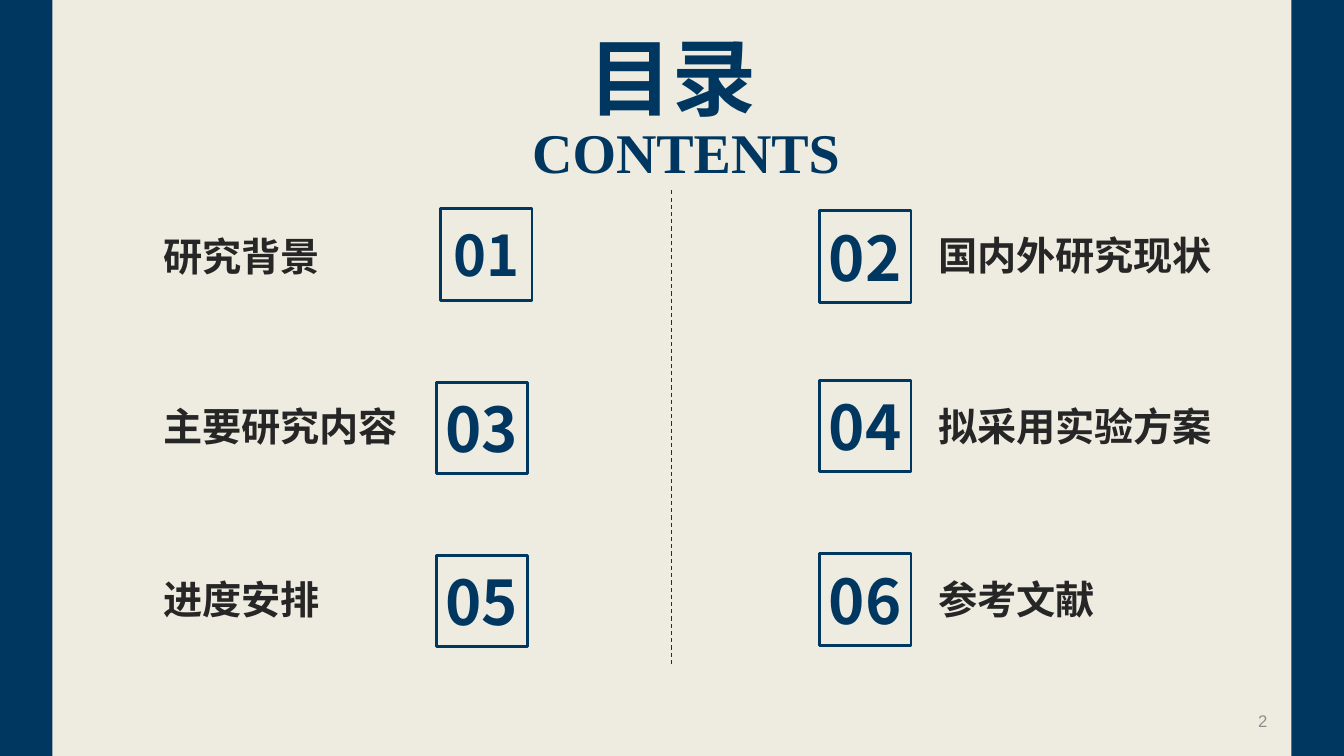
from dataclasses import dataclass

from lxml.etree import SubElement
from pptx import Presentation
from pptx.dml.color import RGBColor
from pptx.enum.dml import MSO_LINE
from pptx.enum.shapes import MSO_CONNECTOR, MSO_SHAPE
from pptx.enum.text import MSO_ANCHOR, PP_ALIGN
from pptx.oxml.ns import qn
from pptx.shapes.base import BaseShape
from pptx.slide import Slide
from pptx.util import Pt


@dataclass(frozen=True)
class Style:
    font: str
    size: float
    color: RGBColor
    bold: bool = True


@dataclass(frozen=True)
class Theme:
    paper: RGBColor
    navy: RGBColor
    divider: RGBColor
    title: Style
    subtitle: Style
    label: Style
    number: Style
    first_number: Style
    page_number: Style


@dataclass(frozen=True)
class Box:
    left: float
    top: float
    width: float
    height: float

    def lengths(self) -> tuple[Pt, Pt, Pt, Pt]:
        return Pt(self.left), Pt(self.top), Pt(self.width), Pt(self.height)


@dataclass(frozen=True)
class Entry:
    number: str
    label: str
    square_left: float
    square_top: float
    label_left: float
    label_top: float
    label_width: float
    style: Style


CHINESE = "Noto Sans CJK SC"
NAVY = RGBColor(0x00, 0x37, 0x60)
THEME = Theme(
    paper=RGBColor(0xEE, 0xEC, 0xE1),
    navy=NAVY,
    divider=RGBColor(0x00, 0x36, 0x5E),
    title=Style(CHINESE, 60, NAVY),
    subtitle=Style("Times New Roman", 40, NAVY),
    label=Style(CHINESE, 28, RGBColor(0x26, 0x26, 0x26)),
    number=Style(CHINESE, 44, NAVY),
    first_number=Style(CHINESE, 40, NAVY),
    page_number=Style("Arial", 12, RGBColor(0x8E, 0x8E, 0x8E), bold=False),
)

PAGE_WIDTH, PAGE_HEIGHT = 960, 540
RAIL_WIDTH = 37.5
SQUARE_SIZE = 65.5
LABEL_HEIGHT = 41
LEFT_LABEL, RIGHT_LABEL = 109.5, 663
RIGHT_SQUARE = 585.25

ENTRIES = [
    Entry("01", "研究背景", 314.5, 149, LEFT_LABEL, 162.5, 188.5, THEME.first_number),
    Entry("02", "国内外研究现状", RIGHT_SQUARE, 150.5, RIGHT_LABEL, 161.5, 229.5, THEME.number),
    Entry("03", "主要研究内容", 311.5, 273, LEFT_LABEL, 283.5, 188.5, THEME.number),
    Entry("04", "拟采用实验方案", RIGHT_SQUARE, 271.5, RIGHT_LABEL, 283.5, 229.5, THEME.number),
    Entry("05", "进度安排", 311.5, 396.5, LEFT_LABEL, 407.5, 188.5, THEME.number),
    Entry("06", "参考文献", RIGHT_SQUARE, 395.5, RIGHT_LABEL, 407.5, 188.5, THEME.number),
]


def write_text(shape: BaseShape, text: str, style: Style, align: PP_ALIGN,
               anchor: MSO_ANCHOR = MSO_ANCHOR.TOP) -> None:
    frame = shape.text_frame
    frame.text = text
    frame.word_wrap = True
    frame.vertical_anchor = anchor
    para = frame.paragraphs[0]
    para.alignment = align
    span = para.runs[0]
    span.font.name = style.font
    span.font.size = Pt(style.size)
    span.font.bold = style.bold
    span.font.color.rgb = style.color
    SubElement(span.font._element, qn("a:ea"), typeface=style.font)


def add_rail(page: Slide, left: float) -> None:
    rail = page.shapes.add_shape(
        MSO_SHAPE.RECTANGLE, *Box(left, 0, RAIL_WIDTH, PAGE_HEIGHT).lengths())
    rail.shadow.inherit = False
    rail.fill.solid()
    rail.fill.fore_color.rgb = THEME.navy
    rail.line.fill.background()


def add_title(page: Slide) -> None:
    title = page.shapes.title
    title.left, title.top, title.width, title.height = Box(389, 14.5, 183, 80).lengths()
    write_text(title, "目录", THEME.title, PP_ALIGN.CENTER)


def add_entry(page: Slide, entry: Entry) -> None:
    group = page.shapes.add_group_shape()
    label_box = Box(entry.label_left, entry.label_top, entry.label_width, LABEL_HEIGHT)
    label = group.shapes.add_textbox(*label_box.lengths())
    write_text(label, entry.label, THEME.label, PP_ALIGN.LEFT)

    square_box = Box(entry.square_left, entry.square_top, SQUARE_SIZE, SQUARE_SIZE)
    square = group.shapes.add_shape(MSO_SHAPE.RECTANGLE, *square_box.lengths())
    square.shadow.inherit = False
    square.fill.background()
    square.line.color.rgb = THEME.navy
    square.line.width = Pt(2)
    write_text(square, entry.number, entry.style, PP_ALIGN.CENTER, MSO_ANCHOR.MIDDLE)
    square.text_frame.margin_left = square.text_frame.margin_right = 0


def add_divider(page: Slide) -> None:
    center = PAGE_WIDTH / 2
    divider = page.shapes.add_connector(
        MSO_CONNECTOR.STRAIGHT, Pt(center), Pt(136), Pt(center), Pt(474))
    divider.line.color.rgb = THEME.divider
    divider.line.width = Pt(0.75)
    divider.line.dash_style = MSO_LINE.DASH
    SubElement(divider._element.spPr, qn("a:effectLst"))


def main() -> None:
    deck = Presentation()
    deck.slide_width, deck.slide_height = Pt(PAGE_WIDTH), Pt(PAGE_HEIGHT)
    page = deck.slides.add_slide(deck.slide_layouts.get_by_name("Title Only"))
    page.background.fill.solid()
    page.background.fill.fore_color.rgb = THEME.paper

    for left in (0, PAGE_WIDTH - RAIL_WIDTH):
        add_rail(page, left)
    add_title(page)
    subtitle = page.shapes.add_textbox(*Box(353, 80.5, 254, 55.5).lengths())
    write_text(subtitle, "CONTENTS", THEME.subtitle, PP_ALIGN.RIGHT)
    for entry in ENTRIES:
        add_entry(page, entry)
    add_divider(page)
    page_number = page.shapes.add_textbox(*Box(688.5, 500.5, 224, 28.75).lengths())
    write_text(page_number, "2", THEME.page_number, PP_ALIGN.RIGHT, MSO_ANCHOR.MIDDLE)

    deck.save("out.pptx")


if __name__ == "__main__":
    main()
